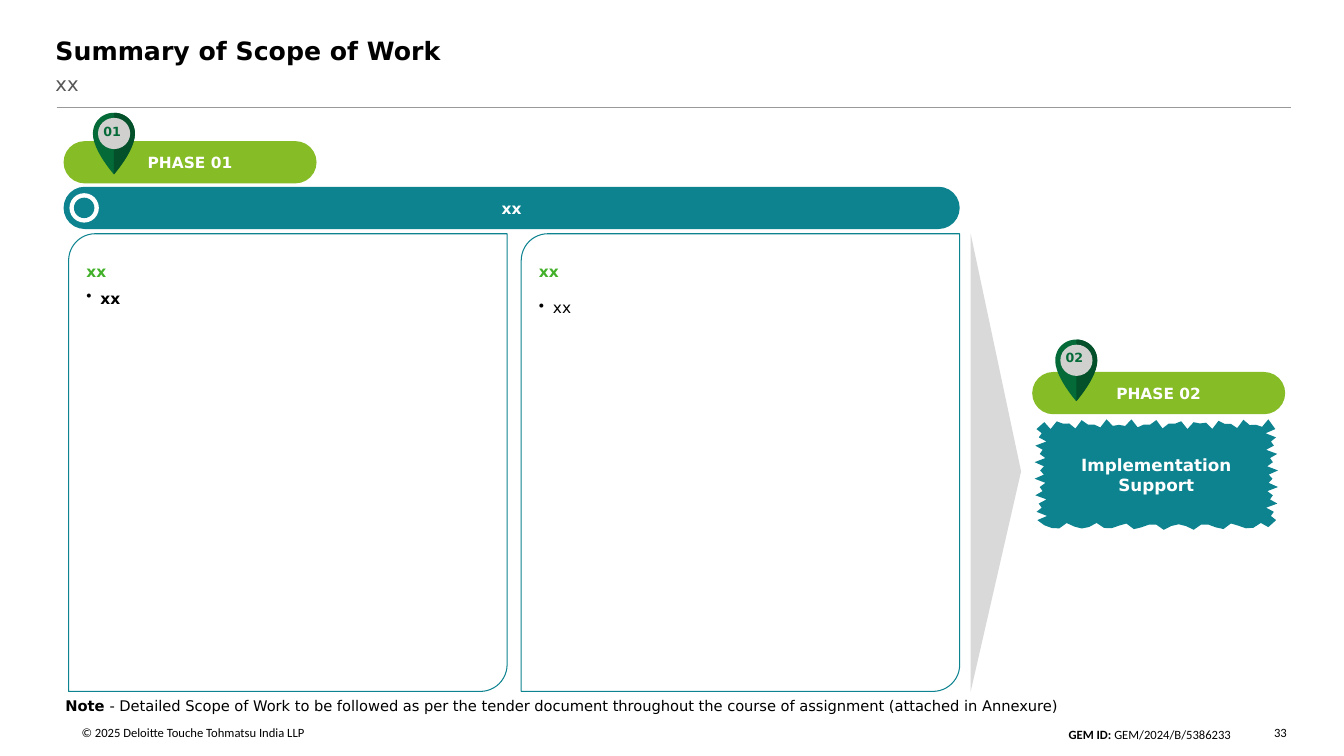
"""Build the scope of work slide with two phases."""
import math
import pptx
import pptx.dml.color
import pptx.enum.shapes
import pptx.enum.text
import pptx.oxml.ns
import pptx.util
from lxml import etree

Pt = pptx.util.Pt
SHAPE = pptx.enum.shapes.MSO_SHAPE
ALIGN = pptx.enum.text.PP_ALIGN
ANCHOR = pptx.enum.text.MSO_ANCHOR

TEAL, LIME, GREEN, BLACK, WHITE = "0D8390", "86BC25", "43B02A", "000000", "FFFFFF"
DARK_GREEN, DEEP_GREEN = "046A38", "03502A"
SANS, FOOTER_FONT = "DejaVu Sans", "Calibri"

TITLE, SUBTITLE = "Summary of Scope of Work", "xx"
BANNER = "xx"
PHASES = [
    {"label": "PHASE 01", "number": "01", "pill": (45.4, 100.8), "pin": (66.4, 80.6)},
    {"label": "PHASE 02", "number": "02", "pill": (737.3, 265.7), "pin": (753.8, 242.6)},
]
PANELS = [
    {"heading": "xx", "item": "xx", "bold": True, "before": 6, "after": 4},
    {"heading": "xx", "item": "xx", "bold": False, "before": 13, "after": 12},
]
SUPPORT = "Implementation Support"
NOTE = ("Note ", "- Detailed Scope of Work to be followed as per the tender document "
        "throughout the course of assignment (attached in Annexure)")
COPYRIGHT = "© 2025 Deloitte Touche Tohmatsu India LLP"
TENDER = ("GEM ID: ", "GEM/2024/B/5386233")
PAGE = "33"

PIN_RIGHT = [((30, 27), (15, 44), (15, 44))]
PIN_LEFT = [((15, 44), (0, 27), (0, 15)), ((0, 6.5), (6.5, 0), (15, 0))]
PIN_TOP_RIGHT = [((23.5, 0), (30, 6.5), (30, 15))]


def rgb(value):
    return pptx.dml.color.RGBColor.from_string(value)


def add_run(paragraph, words, size, color, bold=False, font=SANS):
    run = paragraph.add_run()
    run.text = words
    run.font.size, run.font.bold, run.font.name = Pt(size), bold, font
    run.font.color.rgb = rgb(color)


def setup_text(frame, insets=(7.2, 3.6, 7.2, 3.6), anchor=ANCHOR.TOP, wrap=True):
    frame.word_wrap, frame.vertical_anchor = wrap, anchor
    frame.auto_size = pptx.enum.text.MSO_AUTO_SIZE.NONE
    frame.margin_left, frame.margin_top, frame.margin_right, frame.margin_bottom = map(Pt, insets)
    return frame.paragraphs[0]


def paint(shape, fill, line=None):
    shape.shadow.inherit = False
    shape.fill.solid()
    shape.fill.fore_color.rgb = rgb(fill)
    if line:
        shape.line.color.rgb, shape.line.width = rgb(line), Pt(0.75)
    else:
        shape.line.fill.background()
    return shape


def add_part(shapes, kind, box, fill, line=None, adjust=()):
    part = paint(shapes.add_shape(kind, *map(Pt, box)), fill, line)
    for index, value in enumerate(adjust):
        part.adjustments[index] = value
    return part


def add_centred(shape, words, size):
    paragraph = setup_text(shape.text_frame, anchor=ANCHOR.MIDDLE)
    paragraph.alignment = ALIGN.CENTER
    add_run(paragraph, words, size, WHITE, True)


def add_pill(shapes, box, words, fill):
    add_centred(add_part(shapes, SHAPE.ROUNDED_RECTANGLE, box, fill, adjust=[0.5]), words, 11)


def add_outline(shapes, points, origin, fill):
    placed = [(Pt(origin[0] + x), Pt(origin[1] + y)) for x, y in points]
    builder = shapes.build_freeform(*placed[0], scale=1.0)
    builder.add_line_segments(placed[1:], close=True)
    return paint(builder.convert_to_shape(), fill)


def trace(start, curves, steps=12):
    points = [start]
    for curve in curves:
        a, b, c, d = points[-1], *curve
        for t in (step / steps for step in range(1, steps + 1)):
            u = 1 - t
            points.append(tuple(u**3 * a[i] + 3 * u * u * t * b[i] + 3 * u * t * t * c[i] + t**3 * d[i]
                                for i in (0, 1)))
    return points


def brush_edge(width, height, margin=7):
    """Return a ragged outline that runs clockwise inside the given size."""
    def teeth(length, count, depth):
        pitch = (length - 2 * margin) / count
        return [(margin + pitch * i, depth * (i % 2) + 2 * (1 + math.sin(1.7 * i))) for i in range(count + 1)]

    top, side, bottom = teeth(width, 36, 3), teeth(height, 22, 5), teeth(width, 30, 1)
    return ([(x, d) for x, d in top] + [(width - d, y) for y, d in side]
            + [(width - x, height - d) for x, d in bottom] + [(d, height - y) for y, d in side])


def add_box(shapes, box, insets=(7.2, 3.6, 7.2, 3.6), wrap=True):
    return setup_text(shapes.add_textbox(*map(Pt, box)).text_frame, insets, wrap=wrap)


def add_pin(shapes, origin, number):
    x, y = origin
    pin = shapes.add_group_shape().shapes
    add_outline(pin, trace((30, 15), PIN_RIGHT + PIN_LEFT + PIN_TOP_RIGHT), origin, DARK_GREEN)
    add_outline(pin, trace((15, 0), PIN_TOP_RIGHT + PIN_RIGHT), origin, DEEP_GREEN)
    add_part(pin, SHAPE.OVAL, (x + 3.6, y + 3.6, 23, 22.3), "D0D0CE")
    label = add_box(shapes, (x, y + 4, 27.4, 18), wrap=False)
    label.alignment = ALIGN.CENTER
    add_run(label, number, 9, DARK_GREEN, True)


def add_panel(shapes, left, panel):
    card = add_part(shapes, SHAPE.ROUND_2_DIAG_RECTANGLE, (left, 167, 313.2, 326.9), WHITE, TEAL, [0.061, 0])
    heading = setup_text(card.text_frame, (7.2, 14.4, 0, 7.2))
    heading.alignment = ALIGN.LEFT
    add_run(heading, panel["heading"], 11, GREEN, True)
    item = card.text_frame.add_paragraph()
    props = item._p.get_or_add_pPr()
    props.set("marL", str(Pt(10)))
    props.set("indent", str(-Pt(10)))
    etree.SubElement(props, pptx.oxml.ns.qn("a:buChar")).set("char", "•")
    item.alignment = ALIGN.JUSTIFY
    item.space_before, item.space_after = Pt(panel["before"]), Pt(panel["after"])
    add_run(item, panel["item"], 11, BLACK, panel["bold"])


def place_heading(holder, box, words, size, color, bold):
    holder.left, holder.top, holder.width, holder.height = map(Pt, box)
    paragraph = setup_text(holder.text_frame, (0, 0, 0, 0))
    props = paragraph._p.get_or_add_pPr()
    props.set("marL", "0")
    props.set("indent", "0")
    etree.SubElement(props, pptx.oxml.ns.qn("a:buNone"))
    paragraph.alignment, paragraph.space_before = ALIGN.LEFT, Pt(0)
    add_run(paragraph, words, size, color, bold)


def main():
    deck = pptx.Presentation()
    deck.slide_width, deck.slide_height = Pt(960), Pt(540)
    slide = deck.slides.add_slide(deck.slide_layouts[1])
    shapes = slide.shapes
    place_heading(shapes.title, (39.6, 25.2, 881.3, 26.6), TITLE, 18, BLACK, True)
    place_heading(slide.placeholders[1], (39.6, 51.1, 881.3, 23), SUBTITLE, 14, "575757", False)

    rule = shapes.add_connector(pptx.enum.shapes.MSO_CONNECTOR.STRAIGHT, Pt(40.5), Pt(77), Pt(922.3), Pt(77))
    rule.line.color.rgb, rule.line.width = rgb("999999"), Pt(0.75)
    etree.SubElement(rule._element.spPr, pptx.oxml.ns.qn("a:effectLst"))

    note = add_box(shapes, (39.6, 494, 852.5, 21))
    add_run(note, NOTE[0], 10.5, BLACK, True)
    add_run(note, NOTE[1], 10.5, BLACK)

    add_pill(shapes, (45.4, 133.4, 640.1, 30.2), BANNER, TEAL)
    for inset, size, fill in ((0, 21, WHITE), (3.2, 14.6, TEAL)):
        add_part(shapes, SHAPE.OVAL, (49.6 + inset, 138 + inset, size, size), fill)
    for column, panel in enumerate(PANELS):
        add_panel(shapes, 49 + column * 323.3, panel)
    arrow = add_part(shapes, SHAPE.ISOSCELES_TRIANGLE, (547.9, 312.5, 326.9, 36), "D9D9D9", adjust=[0.519])
    arrow.rotation = 90

    for phase in PHASES:
        add_pill(shapes, (*phase["pill"], 180.7, 30.2), phase["label"], LIME)
        add_pin(shapes, phase["pin"], phase["number"])
    brush = add_outline(shapes, brush_edge(174, 79), (739, 299.5), TEAL)
    add_centred(brush, SUPPORT, 12)

    add_run(add_box(shapes, (58.3, 517.7, 421.9, 10.8), (0, 0, 0, 0)), COPYRIGHT, 9, BLACK, font=FOOTER_FONT)
    tender = add_box(shapes, (406.1, 514.1, 480.2, 18.7))
    tender.alignment, tender.line_spacing = ALIGN.RIGHT, 1.14
    add_run(tender, TENDER[0], 9, BLACK, True, FOOTER_FONT)
    add_run(tender, TENDER[1], 9, BLACK, font=FOOTER_FONT)
    add_run(add_box(shapes, (910.1, 517.7, 10.8, 10.8), (0, 0, 0, 0), False), PAGE, 9, BLACK, font=FOOTER_FONT)
    deck.save("out.pptx")


if __name__ == "__main__":
    main()
